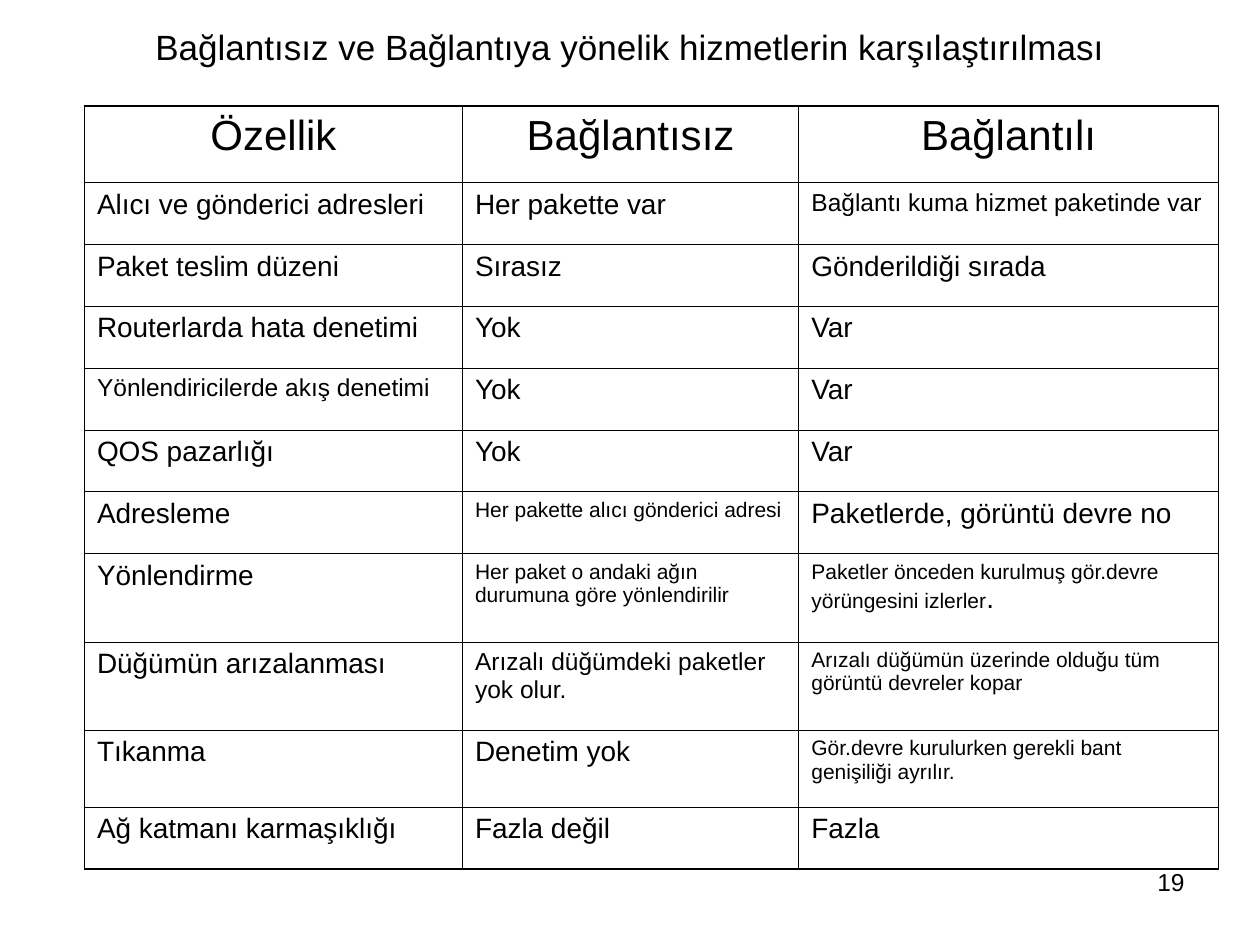
import pptx
import pptx.util
import pptx.dml.color
import pptx.enum.text
import pptx.oxml.ns
import lxml.etree

Inches = pptx.util.Inches
Pt = pptx.util.Pt
ALIGN = pptx.enum.text.PP_ALIGN
ANCHOR = pptx.enum.text.MSO_ANCHOR
BLACK = pptx.dml.color.RGBColor(0, 0, 0)
FONT = "Arial"
OUTER, INNER = 1.08, 0.45
BODY_SIZE = 16

COLUMNS = [3, 2.67, 3.33]
ROWS = [0.61] + [0.49] * 6 + [0.7, 0.7, 0.61, 0.49]
HEADER = ["Özellik", "Bağlantısız", "Bağlantılı"]
FEATURES = [
    ["Alıcı ve gönderici adresleri", "Her pakette var", "Bağlantı kuma hizmet paketinde var"],
    ["Paket teslim düzeni", "Sırasız", "Gönderildiği sırada"],
    ["Routerlarda hata denetimi", "Yok", "Var"],
    ["Yönlendiricilerde akış denetimi", "Yok", "Var"],
    ["QOS pazarlığı", "Yok", "Var"],
    ["Adresleme", "Her pakette alıcı gönderici adresi", "Paketlerde, görüntü devre no"],
    ["Yönlendirme", "Her paket o andaki ağın durumuna göre yönlendirilir",
     "Paketler önceden kurulmuş gör.devre yörüngesini izlerler"],
    ["Düğümün arızalanması", "Arızalı düğümdeki paketler yok olur.",
     "Arızalı düğümün üzerinde olduğu tüm görüntü devreler kopar"],
    ["Tıkanma", "Denetim yok", "Gör.devre kurulurken gerekli bant genişiliği ayrılır."],
    ["Ağ katmanı karmaşıklığı", "Fazla değil", "Fazla"],
]
SMALL_SIZES = {(1, 2): 14, (4, 0): 14, (6, 1): 12, (7, 1): 12, (7, 2): 12,
               (8, 1): 14, (8, 2): 12, (9, 2): 12}


def style_font(font, size):
    font.name = FONT
    font.size = Pt(size)
    font.color.rgb = BLACK


def write(tf, text, size, align):
    p = tf.paragraphs[0]
    p.text = text
    p.alignment = align
    style_font(p.font, size)
    return p


def set_borders(cell, widths):
    tcPr = cell._tc.get_or_add_tcPr()
    for side, width in widths.items():
        ln = lxml.etree.SubElement(tcPr, pptx.oxml.ns.qn("a:ln" + side), w=str(Pt(width)))
        fill = lxml.etree.SubElement(ln, pptx.oxml.ns.qn("a:solidFill"))
        lxml.etree.SubElement(fill, pptx.oxml.ns.qn("a:srgbClr"), val=str(BLACK))


def add_title(slide, box):
    sp = slide.shapes.title
    sp.left, sp.top, sp.width, sp.height = box
    tf = sp.text_frame
    tf.margin_top = tf.margin_bottom = 0
    tf.vertical_anchor = ANCHOR.MIDDLE
    write(tf, "Bağlantısız ve Bağlantıya yönelik hizmetlerin karşılaştırılması", 20, ALIGN.CENTER)


def add_comparison(slide, box):
    left, top, width, height = box
    last_row, last_col = len(ROWS) - 1, len(COLUMNS) - 1
    table = slide.shapes.add_table(len(ROWS), len(COLUMNS), left, top, width, height).table
    table.first_row = table.horz_banding = False
    for column, share in zip(table.columns, COLUMNS):
        column.width = int(width * share / sum(COLUMNS))
    for row, share in zip(table.rows, ROWS):
        row.height = int(height * share / sum(ROWS))
    for i, texts in enumerate([HEADER] + FEATURES):
        for j, text in enumerate(texts):
            cell = table.cell(i, j)
            set_borders(cell, {"L": INNER if j else OUTER,
                               "R": OUTER if j == last_col else INNER,
                               "T": INNER if i else OUTER,
                               "B": OUTER if i == last_row else INNER})
            cell.fill.background()
            size = SMALL_SIZES.get((i, j), BODY_SIZE) if i else 24
            p = write(cell.text_frame, text, size, ALIGN.LEFT if i else ALIGN.CENTER)
            if (i, j) == (7, 2):
                r = p.add_run()
                r.text = "."
                style_font(r.font, BODY_SIZE)


def add_page_number(slide, box):
    tf = slide.shapes.add_textbox(*box).text_frame
    tf.word_wrap = True
    write(tf, "19", 14, ALIGN.RIGHT)


def main():
    prs = pptx.Presentation()
    prs.slide_width, prs.slide_height = Inches(10), Inches(7.5)
    slide = prs.slides.add_slide(prs.slide_layouts[5])
    add_title(slide, [Inches(v) for v in (0.5, 0.3, 9, 0.14)])
    add_comparison(slide, [Inches(v) for v in (0.67, 0.84, 9, 6.06)])
    add_page_number(slide, [Inches(v) for v in (7.17, 6.83, 2.33, 0.52)])
    prs.save("out.pptx")


if __name__ == "__main__":
    main()
